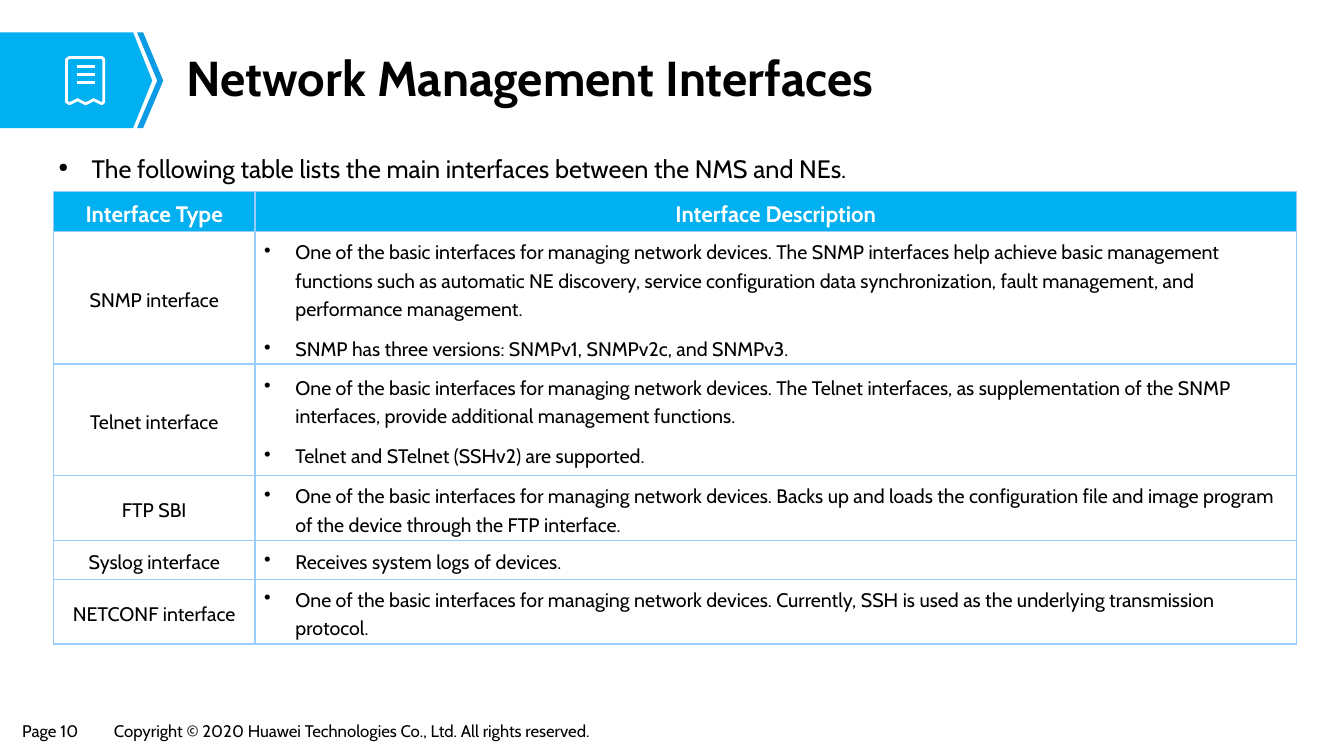
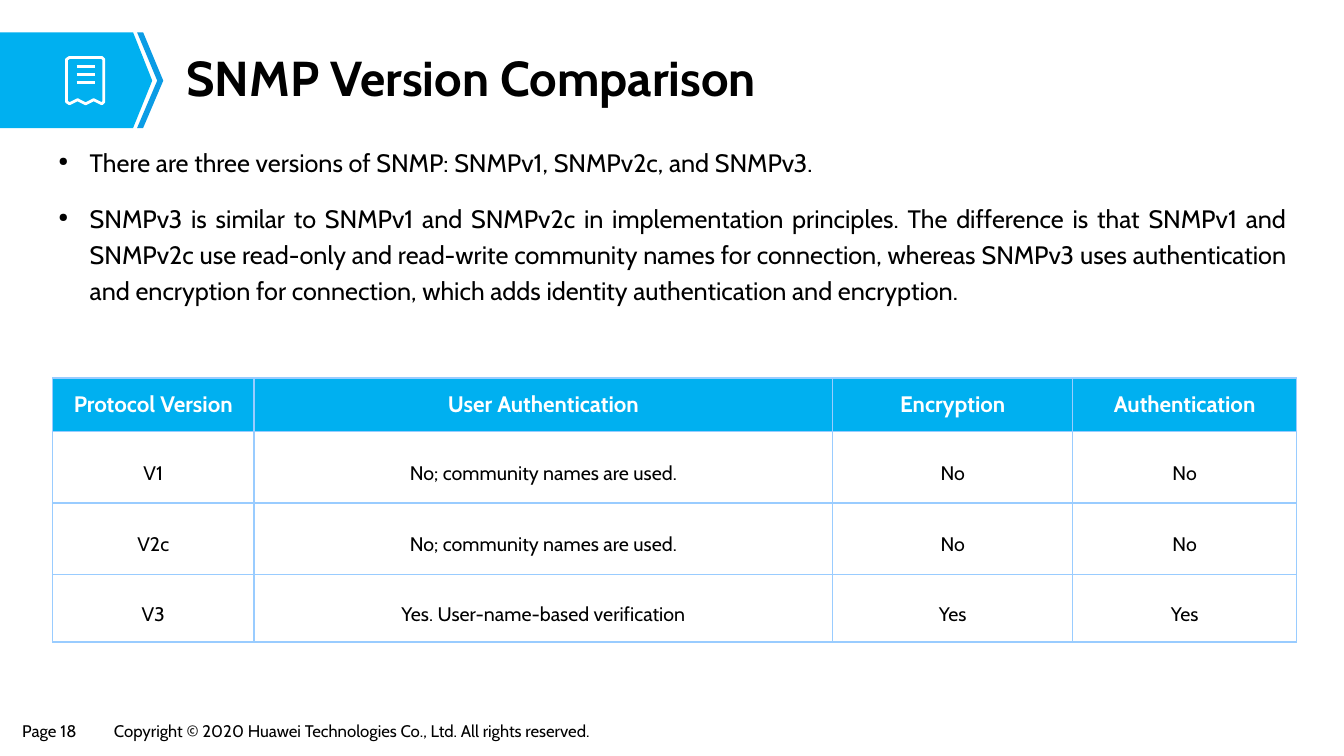
from dataclasses import dataclass

from lxml import etree
from pptx import Presentation
from pptx.dml.color import RGBColor
from pptx.enum.shapes import MSO_CONNECTOR
from pptx.enum.text import MSO_ANCHOR, PP_ALIGN
from pptx.oxml.ns import qn
from pptx.util import Pt

PX = 9144
LEFT, CENTER, JUSTIFY = PP_ALIGN.LEFT, PP_ALIGN.CENTER, PP_ALIGN.JUSTIFY
MIDDLE, BOTTOM = MSO_ANCHOR.MIDDLE, MSO_ANCHOR.BOTTOM
STRAIGHT = MSO_CONNECTOR.STRAIGHT


@dataclass(frozen=True)
class Theme:
    font: str = "Cabin"
    black: RGBColor = RGBColor(0x00, 0x00, 0x00)
    white: RGBColor = RGBColor(0xFF, 0xFF, 0xFF)
    band: RGBColor = RGBColor(0x00, 0xB0, 0xF0)
    chevron: RGBColor = RGBColor(0x0B, 0x9C, 0xE5)
    border: str = "99CCFF"
    title: int = 35
    body: int = 18
    head: int = 16
    cell: int = 14
    footer: int = 12


T = Theme()


def write(tf, texts, size, color=T.black, bold=False, align=LEFT, spacing=1.0,
          gap=0, bullet=None, bullet_pct=100, indent=31, inset=(9, 4)):
    tf.margin_left = tf.margin_right = inset[0] * PX
    tf.margin_top = tf.margin_bottom = inset[1] * PX
    for i, text in enumerate(texts):
        p = tf.add_paragraph() if i else tf.paragraphs[0]
        p.alignment = align
        p.line_spacing = spacing
        if i and gap:
            p.space_before = Pt(gap)
        if bullet:
            pPr = p._p.get_or_add_pPr()
            pPr.set("marL", str(indent * PX))
            pPr.set("indent", str(-indent * PX))
            etree.SubElement(pPr, qn("a:buSzPct"), val=str(bullet_pct * 1000))
            etree.SubElement(pPr, qn("a:buChar"), char=bullet)
        r = p.add_run()
        r.text = text
        r.font.name = T.font
        r.font.size = Pt(size)
        r.font.bold = bold
        r.font.color.rgb = color


def outline(shapes, points):
    builder = shapes.build_freeform(*points[0], scale=PX)
    builder.add_line_segments(points[1:], close=True)
    sp = builder.convert_to_shape(0, 0)
    sp.shadow.inherit = False
    return sp


slides = [
    {
        "title": "Network Management Interfaces",
        "page": "Page 10",
        "body": ["The following table lists the main interfaces between the NMS and NEs."],
        "spacing": 1.4,
        "indent": 33,
        "table_at": (53, 190),
        "cols": [200, 1033],
        "row_heights": [40, 131, 111, 64, 39, 64],
        "head_anchor": BOTTOM,
        "cell_spacing": 1.2,
        "rows": [
            ["Interface Type", "Interface Description"],
            ["SNMP interface", [
                "One of the basic interfaces for managing network devices. The SNMP interfaces help achieve basic management functions such as automatic NE discovery, service configuration data synchronization, fault management, and performance management.",
                "SNMP has three versions: SNMPv1, SNMPv2c, and SNMPv3."]],
            ["Telnet interface", [
                "One of the basic interfaces for managing network devices. The Telnet interfaces, as supplementation of the SNMP interfaces, provide additional management functions.",
                "Telnet and STelnet (SSHv2) are supported."]],
            ["FTP SBI", [
                "One of the basic interfaces for managing network devices. Backs up and loads the configuration file and image program of the device through the FTP interface."]],
            ["Syslog interface", ["Receives system logs of devices."]],
            ["NETCONF interface", [
                "One of the basic interfaces for managing network devices. Currently, SSH is used as the underlying transmission protocol."]],
        ],
    },
    {
        "title": "SNMP Version Comparison",
        "page": "Page 18",
        "body": [
            "There are three versions of SNMP: SNMPv1, SNMPv2c, and SNMPv3.",
            "SNMPv3 is similar to SNMPv1 and SNMPv2c in implementation principles. The difference is that SNMPv1 and SNMPv2c use read-only and read-write community names for connection, whereas SNMPv3 uses authentication and encryption for connection, which adds identity authentication and encryption."],
        "spacing": 1.2,
        "indent": 31,
        "table_at": (52, 375),
        "cols": [200, 574, 238, 222],
        "row_heights": [53, 71, 71, 67],
        "head_anchor": MIDDLE,
        "cell_spacing": 1.5,
        "rows": [
            ["Protocol Version", "User Authentication", "Encryption", "Authentication"],
            ["V1", "No; community names are used.", "No", "No"],
            ["V2c", "No; community names are used.", "No", "No"],
            ["V3", "Yes. User-name-based verification", "Yes", "Yes"],
        ],
    },
]

prs = Presentation()
prs.slide_width, prs.slide_height = 1333 * PX, 750 * PX
layout = prs.slide_layouts[5]
for ph in list(layout.placeholders):
    if ph.placeholder_format.idx:
        ph._element.getparent().remove(ph._element)

for number, data in enumerate(slides):
    s = prs.slides.add_slide(layout)

    if number == 0:
        band = outline(s.shapes, [(0, 32), (132, 32), (151, 80), (132, 127), (0, 127)])
        chevron = outline(s.shapes, [(136, 32), (142, 32), (162, 80),
                                     (142, 127), (136, 127), (156, 80)])
        for sp, color in ((band, T.band), (chevron, T.chevron)):
            sp.fill.solid()
            sp.fill.fore_color.rgb = color
            sp.line.fill.background()

        page_icon = outline(s.shapes, [(69, 57), (101, 57), (103, 59), (103, 101), (101, 103),
                                       (93, 99), (85, 103), (77, 99), (69, 103), (66, 101),
                                       (66, 59)])
        page_icon.fill.background()
        page_icon.line.color.rgb = T.white
        page_icon.line.width = Pt(2)

        icon_lines = []
        for y in (66, 74, 82):
            line = s.shapes.add_connector(STRAIGHT, 76 * PX, y * PX, 94 * PX, y * PX)
            line.line.color.rgb = T.white
            line.line.width = Pt(1.75)
            etree.SubElement(line._element.spPr, qn("a:effectLst"))
            icon_lines.append(line)

        copyright_box = s.shapes.add_textbox(104 * PX, 711 * PX, 541 * PX, 29 * PX)
        copyright_box.text_frame.word_wrap = False
        write(copyright_box.text_frame,
              ["Copyright © 2020 Huawei Technologies Co., Ltd. All rights reserved."], T.footer)

        for shared in (band, chevron, page_icon, *icon_lines, copyright_box):
            layout.shapes._spTree.append(shared._element)

    title = s.shapes.title
    title.left, title.top, title.width, title.height = 174 * PX, 45 * PX, 1075 * PX, 70 * PX
    title.text_frame.vertical_anchor = MIDDLE
    write(title.text_frame, [data["title"]], T.title, bold=True, spacing=0.9, inset=(11, 6))

    page = s.shapes.add_textbox(13 * PX, 711 * PX, 81 * PX, 29 * PX)
    page.text_frame.word_wrap = False
    write(page.text_frame, [data["page"]], T.footer)

    body = s.shapes.add_textbox(49 * PX, 136 * PX, 1236 * PX, 512 * PX)
    body.text_frame.word_wrap = True
    write(body.text_frame, data["body"], T.body, align=JUSTIFY, spacing=data["spacing"],
          gap=14, bullet="●", bullet_pct=50, indent=data["indent"])

    rows, cols, heights = data["rows"], data["cols"], data["row_heights"]
    left, top = data["table_at"]
    table = s.shapes.add_table(len(rows), len(cols), left * PX, top * PX,
                               sum(cols) * PX, sum(heights) * PX).table
    table.horz_banding = False
    for column, width in zip(table.columns, cols):
        column.width = width * PX
    for i, (row, height) in enumerate(zip(rows, heights)):
        table.rows[i].height = height * PX
        for j, content in enumerate(row):
            cell = table.cell(i, j)
            tf = cell.text_frame
            if i == 0:
                cell.fill.solid()
                cell.fill.fore_color.rgb = T.band
                cell.vertical_anchor = data["head_anchor"]
                write(tf, [content], T.head, T.white, True, CENTER,
                      1.2 if data["head_anchor"] == BOTTOM else 1.0)
            else:
                cell.fill.background()
                cell.vertical_anchor = MIDDLE
                if isinstance(content, list):
                    write(tf, content, T.cell, spacing=data["cell_spacing"], gap=8, bullet="•")
                else:
                    write(tf, [content], T.cell, align=CENTER, spacing=data["cell_spacing"])
            cell.margin_left = cell.margin_right = 9 * PX
            cell.margin_top = cell.margin_bottom = 4 * PX
            tcPr = cell._tc.get_or_add_tcPr()
            for k, side in enumerate(("a:lnL", "a:lnR", "a:lnT", "a:lnB")):
                ln = etree.Element(qn(side), w=str(Pt(1)))
                fill = etree.SubElement(ln, qn("a:solidFill"))
                etree.SubElement(fill, qn("a:srgbClr"), val=T.border)
                tcPr.insert(k, ln)

prs.save("out.pptx")
